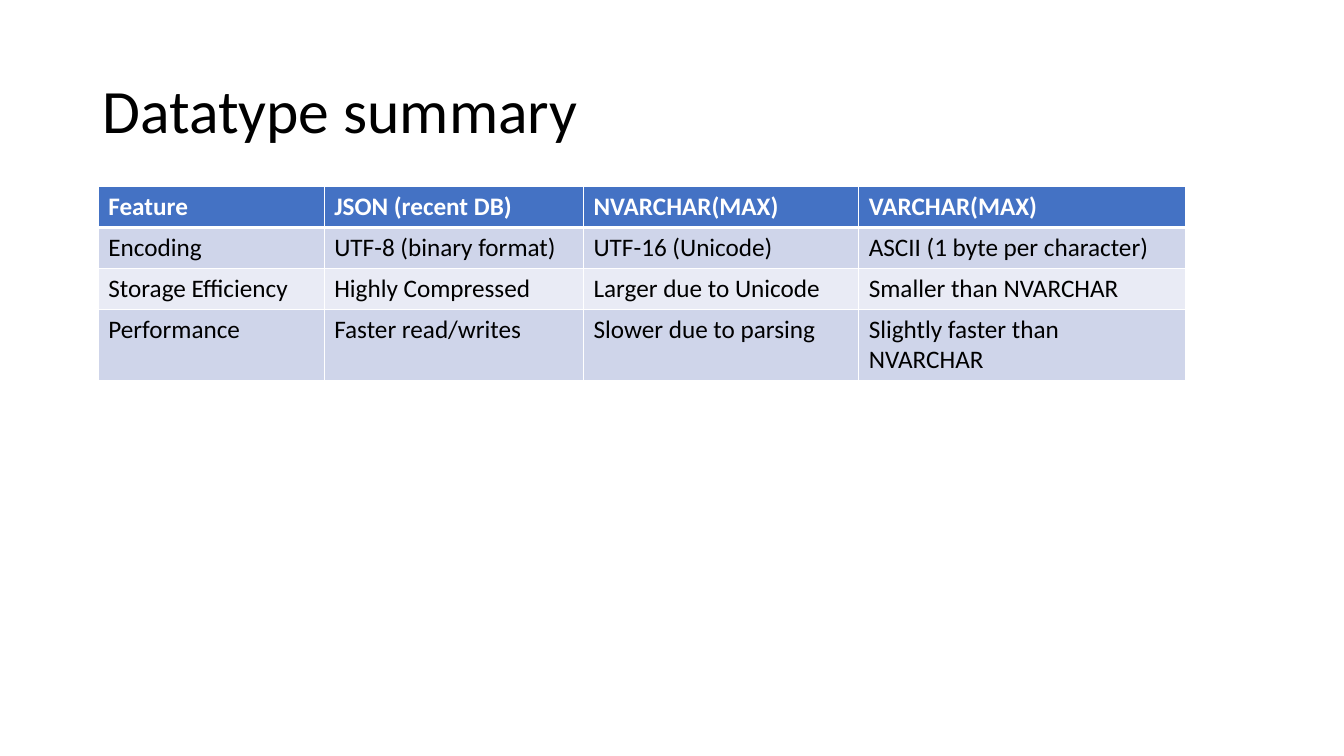
import dataclasses

import lxml.etree
import pptx
import pptx.dml.color
import pptx.enum.text
import pptx.oxml.ns
import pptx.util

Pt = pptx.util.Pt
qn = pptx.oxml.ns.qn


@dataclasses.dataclass(frozen=True)
class Theme:
    font: str = "Calibri"
    ink: str = "000000"
    light: str = "FFFFFF"
    head: str = "4472C4"
    bands: tuple = ("CFD5EA", "E9EBF5")
    title: int = 44
    body: int = 18
    thin: int = 1
    thick: int = 3


THEME = Theme()
WIDTHS = (161.4, 185.2, 196.6, 233.5)
HEIGHT = 29.2
ROWS = (
    ("Feature", "JSON (recent DB)", "NVARCHAR(MAX)", "VARCHAR(MAX)"),
    ("Encoding", "UTF-8 (binary format)", "UTF-16 (Unicode)",
     "ASCII (1 byte per character)"),
    ("Storage Efficiency", "Highly Compressed", "Larger due to Unicode",
     "Smaller than NVARCHAR"),
    ("Performance", "Faster read/writes", "Slower due to parsing",
     "Slightly faster than NVARCHAR"),
)


def color(code):
    return pptx.dml.color.RGBColor.from_string(code)


def assign(item, values):
    for name, value in values.items():
        setattr(item, name, value)


def style(para, size, ink, bold=False):
    assign(para.font, {"name": THEME.font, "size": Pt(size), "bold": bold})
    para.font.color.rgb = color(ink)


def add_title(slide, text):
    title = slide.shapes.title
    assign(title, {"left": Pt(66), "top": Pt(28.8),
                   "width": Pt(828), "height": Pt(104.4)})
    frame = title.text_frame
    assign(frame, {"text": text, "word_wrap": True,
                   "auto_size": pptx.enum.text.MSO_AUTO_SIZE.NONE,
                   "vertical_anchor": pptx.enum.text.MSO_ANCHOR.MIDDLE})
    para = frame.paragraphs[0]
    assign(para, {"alignment": pptx.enum.text.PP_ALIGN.LEFT,
                  "line_spacing": 0.9})
    style(para, THEME.title, THEME.ink)


def add_edges(cell, top, base):
    """Draw the four borders of a cell, given its top and bottom weights."""
    props = cell._tc.get_or_add_tcPr()
    edges = {"lnL": THEME.thin, "lnR": THEME.thin, "lnT": top, "lnB": base}
    for tag, size in edges.items():
        line = lxml.etree.SubElement(props, qn(f"a:{tag}"), w=str(Pt(size)))
        fill = lxml.etree.SubElement(line, qn("a:solidFill"))
        lxml.etree.SubElement(fill, qn("a:srgbClr"), val=THEME.light)


def fill_cell(cell, text, fill, ink, bold):
    cell.text = text
    cell.fill.solid()
    cell.fill.fore_color.rgb = color(fill)
    style(cell.text_frame.paragraphs[0], THEME.body, ink, bold)


def add_grid(slide, rows, widths):
    """Add a table with a dark header and alternating body bands."""
    frame = slide.shapes.add_table(
        len(rows), len(widths), Pt(70.2), Pt(133.2),
        Pt(sum(widths)), Pt(HEIGHT * len(rows)))
    table = frame.table
    for column, width in zip(table.columns, widths):
        column.width = Pt(width)
    for index, texts in enumerate(rows):
        table.rows[index].height = Pt(HEIGHT)
        head = index == 0
        fill = THEME.head if head else THEME.bands[(index - 1) % 2]
        ink = THEME.light if head else THEME.ink
        top = THEME.thick if index == 1 else THEME.thin
        base = THEME.thick if head else THEME.thin
        for cell, text in zip(table.rows[index].cells, texts):
            add_edges(cell, top, base)
            fill_cell(cell, text, fill, ink, head)


def main():
    deck = pptx.Presentation()
    assign(deck, {"slide_width": Pt(960), "slide_height": Pt(540)})
    slide = deck.slides.add_slide(deck.slide_layouts.get_by_name("Title Only"))
    add_title(slide, "Datatype summary")
    add_grid(slide, ROWS, WIDTHS)
    deck.save("out.pptx")


if __name__ == "__main__":
    main()
